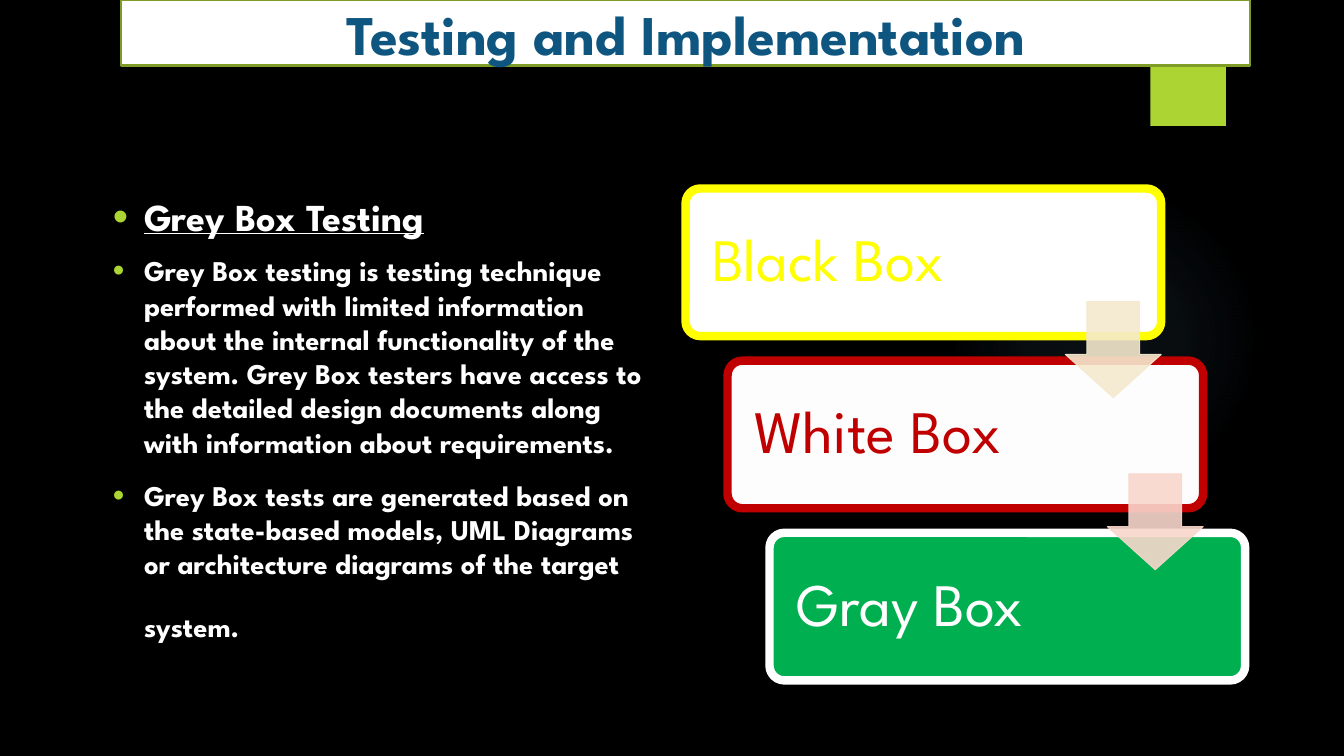
from dataclasses import dataclass

from lxml.etree import SubElement as Sub
from pptx import Presentation
from pptx.dml.color import RGBColor as Rgb
from pptx.enum.shapes import MSO_SHAPE as Kind
from pptx.enum.text import MSO_ANCHOR as Anchor, MSO_AUTO_SIZE as Fit, PP_ALIGN as Align
from pptx.oxml.ns import qn
from pptx.util import Inches, Pt


@dataclass(frozen=True)
class Theme:
    """Colours and type sizes of the slide."""
    font: str = "League Spartan"
    back: str = "000000"
    paper: str = "FFFFFF"
    lime: str = "ACD433"
    edge: str = "7F9D26"
    navy: str = "0E5580"
    glow: str = "7AC4F0"
    title: float = 40
    head: float = 27.2
    body: float = 20.4
    tail: float = 40.8
    card: float = 43


@dataclass(frozen=True)
class Box:
    """A region in inch columns and rows."""
    x: float
    y: float
    w: float
    h: float

    def inner(self, x, y, w, h):
        """Return the region at the given shares of this one."""
        return Box(self.x + x * self.w, self.y + y * self.h, w * self.w, h * self.h)

    def span(self):
        """Return left, top, width and height as lengths."""
        return [Inches(v) for v in (self.x, self.y, self.w, self.h)]


T = Theme()
WIDE, HIGH = 13.33, 7.5
POINTS = (
    ("Grey Box Testing", T.head, 5.4, True),
    ("Grey Box testing is testing technique performed with limited information "
     "about the internal functionality of the system. Grey Box testers have access "
     "to the detailed design documents along with information about requirements.",
     T.body, 4, False),
    ("Grey Box tests are generated based on the state-based models, UML Diagrams "
     "or architecture diagrams of the target system.", T.body, 7.5, False),
)
CARDS = (
    ("Black Box", "FFFFFF", "FFFF00", "FFFF00"),
    ("White Box", "FDFDFD", "C00000", "C00000"),
    ("Gray Box", "00B050", "FFFFFF", "FFFFFF"),
)
ARROWS = ("F5E9CE", "F9D7CD")


def paint(shape, fill, line=None, width=0):
    """Give a shape a flat fill and an optional outline."""
    shape.fill.solid()
    shape.fill.fore_color.rgb = Rgb.from_string(fill)
    if line:
        shape.line.color.rgb = Rgb.from_string(line)
        shape.line.width = Pt(width)
    else:
        shape.line.fill.background()


def draw(slide, kind, box, *look):
    """Add a painted preset shape without a shadow."""
    shape = slide.shapes.add_shape(kind, *box.span())
    shape.shadow.inherit = False
    paint(shape, *look)
    return shape


def style(para, size, color, bold=False):
    """Set the font of a paragraph."""
    font = para.font
    font.name, font.size, font.bold = T.font, Pt(size), bold
    font.color.rgb = Rgb.from_string(color)


def fade(shape, share):
    """Make the flat colours of a shape partly transparent."""
    for color in shape._element.spPr.iter(qn("a:srgbClr")):
        Sub(color, qn("a:alpha"), val=str(share * 1000))


def bullet(para):
    """Hang a lime bullet before a paragraph."""
    props = para._p.get_or_add_pPr()
    props.set("marL", str(Inches(0.31)))
    props.set("indent", str(-Inches(0.31)))
    Sub(Sub(props, qn("a:buClr")), qn("a:srgbClr"), val=T.lime)
    Sub(props, qn("a:buSzPct"), val="115000")
    Sub(props, qn("a:buFont"), typeface="Arial")
    Sub(props, qn("a:buChar"), char="•")


def decor(slide, glow, tab):
    """Draw the faint round glow and the lime tab."""
    orb = draw(slide, Kind.OVAL, glow, T.glow)
    props = orb._element.spPr
    flat = props.find(qn("a:solidFill"))
    grad = Sub(props, qn("a:gradFill"))
    props.replace(flat, grad)
    stops = Sub(grad, qn("a:gsLst"))
    for place, share in ((0, 7), (36, 6), (69, 0)):
        stop = Sub(stops, qn("a:gs"), pos=str(place * 1000))
        color = Sub(stop, qn("a:srgbClr"), val=T.glow)
        Sub(color, qn("a:alpha"), val=str(share * 1000))
    ring = Sub(grad, qn("a:path"), {"path": "circle"})
    Sub(ring, qn("a:fillToRect"), l="50000", t="50000", r="50000", b="50000")
    draw(slide, Kind.RECTANGLE, tab, T.lime)


def banner(slide, box):
    """Place the title in front of the other shapes."""
    title = slide.shapes.title
    title.left, title.top, title.width, title.height = box.span()
    paint(title, T.paper, T.edge, 1.5)
    frame = title.text_frame
    frame.text = "Testing and Implementation"
    frame.auto_size, frame.vertical_anchor = Fit.NONE, Anchor.MIDDLE
    para = frame.paragraphs[0]
    para.alignment = Align.CENTER
    style(para, T.title, T.navy, True)
    slide.shapes._spTree.append(title._element)


def points(slide, box):
    """Write the bulleted text."""
    frame = slide.shapes.add_textbox(*box.span()).text_frame
    frame.word_wrap = True
    for i, (text, size, gap, under) in enumerate(POINTS):
        para = frame.add_paragraph() if i else frame.paragraphs[0]
        para.text = text
        bullet(para)
        para.space_before, para.space_after = Pt(gap), Pt(6)
        style(para, size, T.paper, True)
        para.font.underline = under
    last = para.add_run()
    last.text = " "
    last.font.size = Pt(T.tail)


def stairs(slide, box):
    """Draw the stepped cards and the arrows between them."""
    wide, high = 0.85, 0.3
    right, down = (1 - wide) / 2, (1 - high) / 2
    for i, (text, fill, line, ink) in enumerate(CARDS):
        spot = box.inner(i * right, i * down, wide, high)
        card = draw(slide, Kind.ROUNDED_RECTANGLE, spot, fill, line, 6)
        card.adjustments[0] = 0.1
        frame = card.text_frame
        frame.margin_left, frame.vertical_anchor = Inches(0.22), Anchor.MIDDLE
        para = frame.paragraphs[0]
        para.text, para.alignment, para.line_spacing = text, Align.LEFT, 0.9
        style(para, T.card, ink)
    side = 0.65 * high * box.h
    for i, color in enumerate(ARROWS):
        spot = Box(box.x + (wide + i * right) * box.w - side,
                   box.y + (0.23 + i * down) * box.h, side, side)
        arrow = draw(slide, Kind.DOWN_ARROW, spot, color, color, 0.75)
        arrow.adjustments[0], arrow.adjustments[1] = 0.55, 0.45
        fade(arrow, 90)


def main():
    """Build and save the slide."""
    deck = Presentation()
    deck.slide_width, deck.slide_height = Inches(WIDE), Inches(HIGH)
    slide = deck.slides.add_slide(deck.slide_layouts[5])
    slide.background.fill.solid()
    slide.background.fill.fore_color.rgb = Rgb.from_string(T.back)
    decor(slide, Box(9.41, 1.83, 3.08, 3.08), Box(11.41, 0, 0.75, 1.25))
    points(slide, Box(1.02, 1.87, 5.55, 4.88))
    stairs(slide, Box(6.8, 1.87, 5.55, 4.88))
    banner(slide, Box(1.2, 0, 11.2, 0.65))
    deck.save("out.pptx")


if __name__ == "__main__":
    main()
